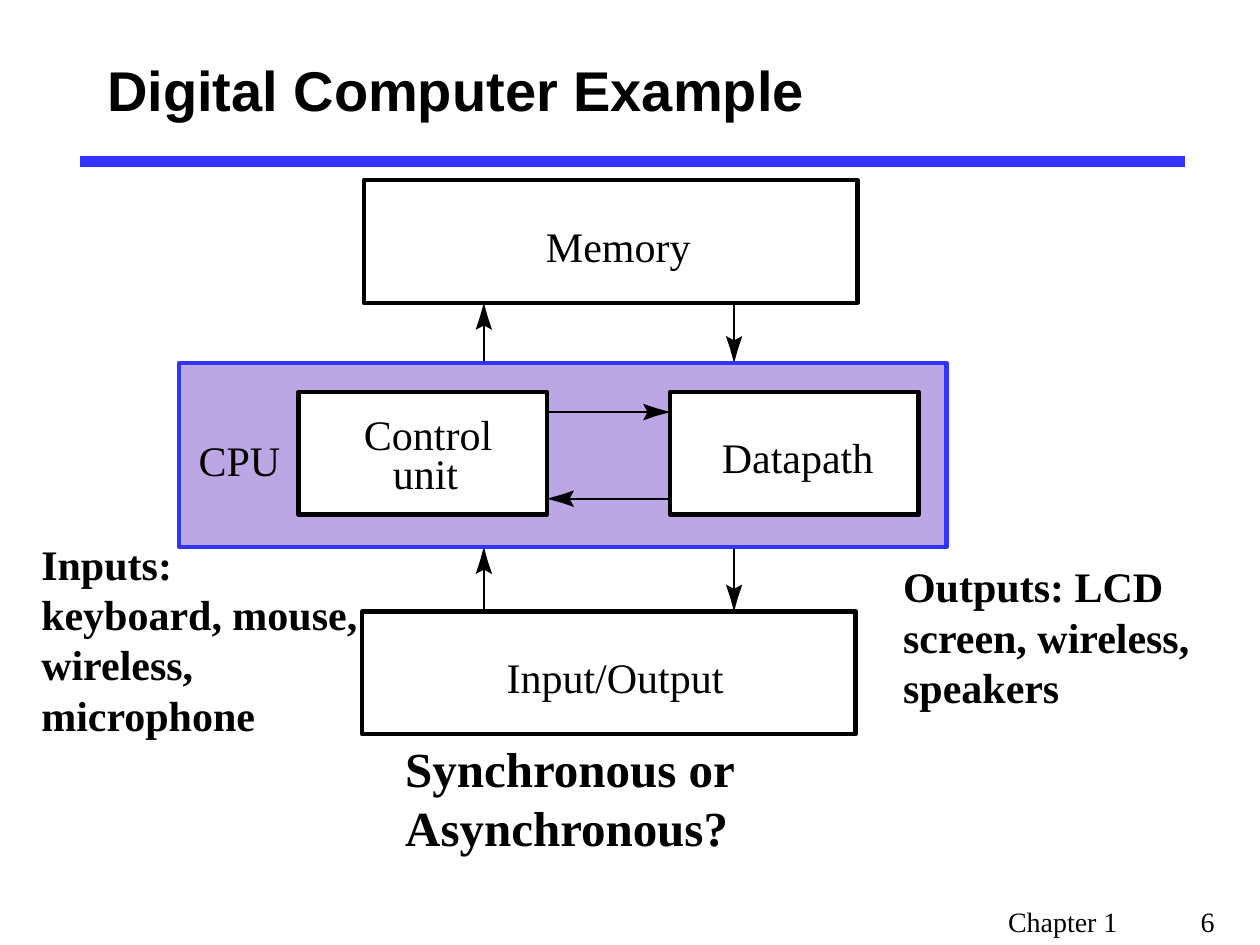
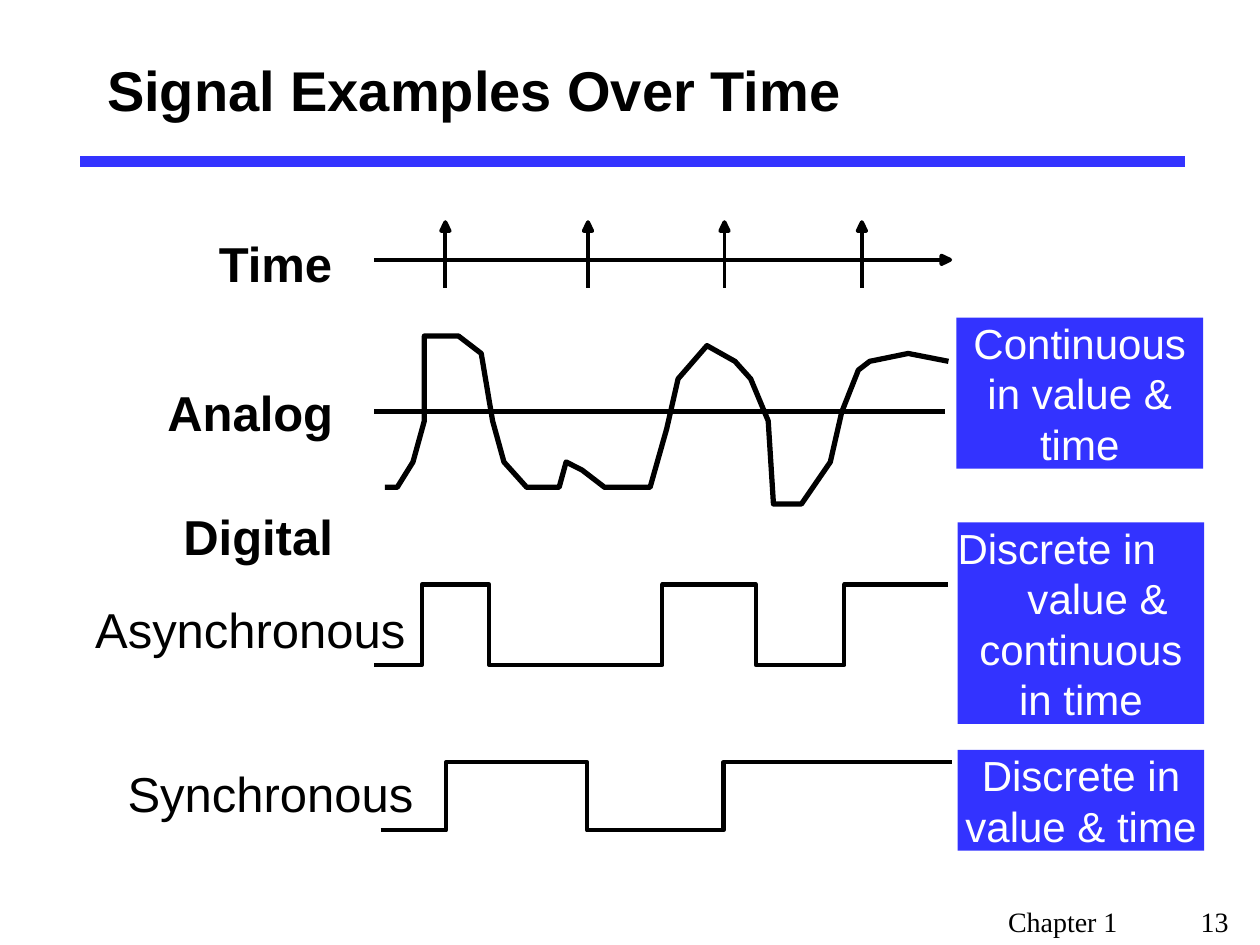
from math import hypot
from lxml.etree import SubElement
from pptx import Presentation
from pptx.dml.color import RGBColor
from pptx.enum.shapes import MSO_CONNECTOR, MSO_SHAPE
from pptx.enum.text import MSO_ANCHOR, PP_ALIGN
from pptx.oxml.ns import qn
from pptx.util import Pt

COLORS = {"ink": "000000", "accent": "3333FF", "cpu": "BCA7E5", "paper": "FFFFFF"}
SANS, SERIF = "Arial", "Times New Roman"

# Arrowheads: outline as (distance back from tip, sideways), and outline width
BARBED = [(0, 0), (8, 2.2), (15.5, 4.7), (13, 0), (15.5, -4.7), (8, -2.2)], 0
TRIANGLE = [(0, 0), (5, 2.4), (5, -2.4)], 2.25


def rgb(name):
    return RGBColor.from_string(COLORS[name])


def paint(shape, fill=None, line=None, width=0):
    """Set fill and outline; None leaves either one empty."""
    shape.shadow.inherit = False
    if fill:
        shape.fill.solid()
        shape.fill.fore_color.rgb = rgb(fill)
    else:
        shape.fill.background()
    if line and width:
        shape.line.color.rgb = rgb(line)
        shape.line.width = Pt(width)
    else:
        shape.line.fill.background()


def style(p, size, font, bold=False, color="ink", align=PP_ALIGN.LEFT):
    p.alignment = align
    p.font.size, p.font.name, p.font.bold = Pt(size), font, bold
    p.font.color.rgb = rgb(color)


def frame(shape, inset=(0, 0), wrap=True, anchor=MSO_ANCHOR.TOP):
    tf = shape.text_frame
    tf.margin_left = tf.margin_right = Pt(inset[0])
    tf.margin_top = tf.margin_bottom = Pt(inset[1])
    tf.word_wrap, tf.vertical_anchor = wrap, anchor
    return tf


def add_text(s, text, box, size, font=SERIF, bold=False, align=PP_ALIGN.LEFT,
             inset=(0, 0), wrap=False):
    tf = frame(s.shapes.add_textbox(*map(Pt, box)), inset, wrap)
    p = tf.paragraphs[0]
    p.text = text
    style(p, size, font, bold, align=align)
    return p


def add_note(s, text, box, size=24):
    add_text(s, text, box, size, bold=True, inset=(7.2, 3.6), wrap=True)


def add_box(s, box, fill=None, line=None, width=0):
    shape = s.shapes.add_shape(MSO_SHAPE.RECTANGLE, *map(Pt, box))
    paint(shape, fill, line, width)
    return shape


def add_line(s, start, end, width, color="ink"):
    c = s.shapes.add_connector(MSO_CONNECTOR.STRAIGHT, *map(Pt, start + end))
    c.line.color.rgb = rgb(color)
    c.line.width = Pt(width)
    SubElement(c._element.spPr, qn("a:effectLst"))


def add_path(s, points, width, fill=None, close=False):
    points = [(Pt(x), Pt(y)) for x, y in points]
    builder = s.shapes.build_freeform(*points[0])
    builder.add_line_segments(points[1:], close=close)
    paint(builder.convert_to_shape(), fill, "ink", width)


def add_arrow(s, start, tip, head, width):
    """Draw a line that ends inside a head pointing along it."""
    (x0, y0), (x1, y1) = start, tip
    length = hypot(x1 - x0, y1 - y0)
    ux, uy = (x1 - x0) / length, (y1 - y0) / length
    outline, edge = head
    add_line(s, start, (x1 - 5 * ux, y1 - 5 * uy), width)
    add_path(s, [(x1 - back * ux - side * uy, y1 - back * uy + side * ux)
                 for back, side in outline], edge, "ink", close=True)


def add_square_wave(s, left, edges, right, low, high):
    """Start low and change level at each edge."""
    points, level, other = [(left, low)], low, high
    for x in edges:
        points += [(x, level), (x, other)]
        level, other = other, level
    add_path(s, points + [(right, level)], 2.38)


def add_callout(s, parts, left, top, lines):
    """Blue box, as tall as its lines; parts are (text, align, indent)."""
    tf = frame(add_box(s, (left, top, 141, 28.8 * lines), "accent"))
    for i, (text, align, indent) in enumerate(parts):
        p = tf.add_paragraph() if i else tf.paragraphs[0]
        p.text = text
        p._p.get_or_add_pPr().set("marL", str(Pt(indent)))
        style(p, 24, SANS, color="paper", align=align)


def new_slide(prs, title, number):
    s = prs.slides.add_slide(prs.slide_layouts[5])
    add_line(s, (46, 92.3), (677, 92.3), 6, "accent")
    # Title
    sp = s.shapes.title
    sp.left, sp.top, sp.width, sp.height = map(Pt, (54, 18, 612, 66))
    p = frame(sp, (7.2, 3.6), anchor=MSO_ANCHOR.MIDDLE).paragraphs[0]
    p.text = title
    style(p, 32, SANS, bold=True)
    # Footer, with the number on a tab stop
    p = add_text(s, "", (569, 513.5, 151, 26.5), 16, inset=(7.2, 3.6), wrap=True)
    tabs = SubElement(p._p.get_or_add_pPr(), qn("a:tabLst"))
    SubElement(tabs, qn("a:tab"), pos=str(Pt(110)), algn="l")
    p.text = f"Chapter 1\t{number}"
    style(p, 16, SERIF)
    return s


def computer_slide(prs):
    s = new_slide(prs, "Digital Computer Example", 6)
    # Side notes and question
    add_note(s, "Synchronous or Asynchronous?", (224.5, 418.5, 221, 75), 28)
    add_note(s, "Inputs: keyboard, mouse, wireless, microphone", (16.5, 304, 198, 122))
    add_note(s, "Outputs: LCD screen, wireless, speakers", (509, 317, 186, 94))
    # Arrows between memory, CPU and input/output
    for top, bottom in [(173, 207.5), (312.5, 349.5)]:
        add_arrow(s, (276.5, bottom), (276.5, top), BARBED, 1.13)
        add_arrow(s, (419.5, top), (419.5, bottom), BARBED, 1.13)
    # CPU and the arrows inside it
    add_box(s, (102.3, 207.5, 438.5, 105), "cpu", "accent", 2.5)
    add_arrow(s, (312.5, 235.5), (383, 235.5), BARBED, 1.13)
    add_arrow(s, (383, 285), (312.5, 285), BARBED, 1.13)
    # Blocks
    for left, top, width in [(208, 103, 282), (207, 349.5, 282),
                             (170.5, 224, 142), (383, 224, 142)]:
        add_box(s, (left, top, width, 70), "paper", "ink", 2.5)
    # Block labels, each a little wider than its text
    for text, left, top, width in [
            ("Memory", 312, 126, 86), ("Control", 208, 233.5, 77),
            ("unit", 224.5, 255.5, 41), ("Datapath", 412.5, 246.5, 91),
            ("Input/Output", 289.5, 372, 128), ("CPU", 113.5, 248.5, 50)]:
        add_text(s, text, (left, top, width, 29), 24)


def signal_slide(prs):
    s = new_slide(prs, "Signal Examples Over Time", 13)
    # Time axis with clock ticks
    add_arrow(s, (214, 148.5), (543, 148.5), TRIANGLE, 2.25)
    for x in (254.5, 336, 414, 492.5):
        add_arrow(s, (x, 164.5), (x, 127), TRIANGLE, 2.25)
    # Analog signal and its zero line
    add_path(s, [
        (220, 278.5), (227, 278.5), (236, 264), (242.5, 240.5), (242.5, 192),
        (262, 192), (275, 202), (281.5, 240.5), (288, 264), (301, 278.5),
        (319.5, 278.5), (323.5, 264), (332.5, 268.5), (345.5, 278.5),
        (371.5, 278.5), (381, 245), (387.5, 216.5), (404, 197.5), (420, 206.5),
        (429, 216.5), (439, 240.5), (442, 288), (458, 288), (474.5, 264),
        (481, 235.5), (490.5, 211.5), (497, 206.5), (519, 202), (542, 206.5)], 3)
    add_line(s, (214, 235), (540, 235), 3)
    # Digital signals
    add_square_wave(s, 214, (241, 279.5, 378.5, 432, 482.5), 542, 380, 334)
    add_square_wave(s, 217.5, (255, 335.5, 413.5), 544, 474.5, 435.5)
    # Signal names
    for text, left, top, width, bold in [
            ("Time", 123, 133.3, 69, True), ("Analog", 94, 218.3, 98, True),
            ("Digital", 101, 289.5, 93, True),
            ("Asynchronous", 49.5, 342.5, 187, False),
            ("Synchronous", 69, 436.5, 171, False)]:
        add_text(s, text, (left, top, width, 34), 28, SANS, bold, PP_ALIGN.CENTER)
    # Callouts
    mid = PP_ALIGN.CENTER
    add_callout(s, [("Continuous in value & time", mid, 0)], 546.5, 181.5, 3)
    add_callout(s, [("Discrete in", PP_ALIGN.LEFT, 0), ("value &", mid, 19),
                    ("continuous\vin time", mid, 0)], 547.2, 298.5, 4)
    add_callout(s, [("Discrete in value & time", mid, 0)], 547.2, 428.5, 2)


def main():
    prs = Presentation()
    prs.slide_width, prs.slide_height = Pt(720), Pt(540)
    computer_slide(prs)
    signal_slide(prs)
    prs.save("out.pptx")


if __name__ == "__main__":
    main()
